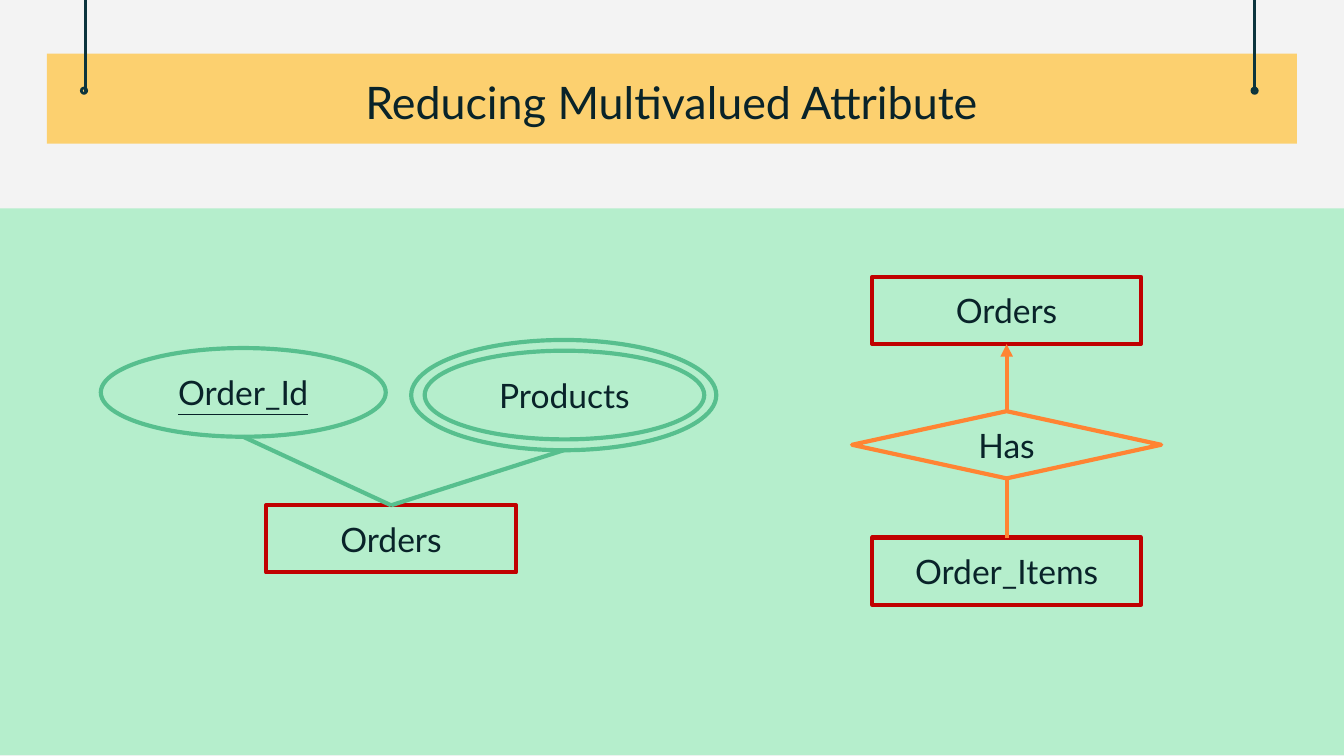
import pptx
import pptx.util
import pptx.dml.color
import pptx.enum.shapes
import pptx.enum.text
import pptx.oxml
import pptx.oxml.ns
from dataclasses import dataclass

Inches = pptx.util.Inches
Pt = pptx.util.Pt
RGB = pptx.dml.color.RGBColor.from_string
KIND = pptx.enum.shapes.MSO_SHAPE


@dataclass(frozen=True)
class Theme:
    back: str = "F3F3F3"
    panel: str = "B5EECC"
    band: str = "FCD06F"
    pin: str = "0C343D"
    ink: str = "092329"
    entity: str = "C00000"
    attr: str = "57BF8E"
    link: str = "FF8433"
    font: str = "Lato"
    head: float = 24
    body: float = 18
    thin: float = 0.75
    thick: float = 2.25


theme = Theme()
deck = pptx.Presentation()
deck.slide_width, deck.slide_height = Inches(10), Inches(10 * 9 / 16)
slide = deck.slides.add_slide(deck.slide_layouts[5])
slide.background.fill.solid()
slide.background.fill.fore_color.rgb = RGB(theme.back)


def draw(kind, box, fill=None, line=None, width=theme.thick, text=""):
    shape = slide.shapes.add_shape(kind, *map(Inches, box))
    shape.shadow.inherit = False
    if fill:
        shape.fill.solid()
        shape.fill.fore_color.rgb = RGB(fill)
    else:
        shape.fill.background()
    if line:
        shape.line.color.rgb = RGB(line)
        shape.line.width = Pt(width)
    else:
        shape.line.fill.background()
    if text:
        style(shape.text_frame, text, theme.body)
    return shape


def style(frame, text, size):
    """Set centred text in the theme's font and ink."""
    frame.text = text
    frame.word_wrap = True
    frame.vertical_anchor = pptx.enum.text.MSO_ANCHOR.MIDDLE
    para = frame.paragraphs[0]
    para.alignment = pptx.enum.text.PP_ALIGN.CENTER
    font = para.runs[0].font
    font.name, font.size = theme.font, Pt(size)
    font.color.rgb = RGB(theme.ink)


# Backdrop: panel, title band and two hanging pins
draw(KIND.RECTANGLE, (-0.03, 1.55, 10.05, 4.07), theme.panel)
draw(KIND.RECTANGLE, (0.35, 0.4, 9.3, 0.67), theme.band)
for rod, knob in ((0.63, 0.6), (9.33, 9.31)):
    draw(KIND.RECTANGLE, (rod, 0, 0.01, 0.68), theme.pin, theme.pin, theme.thin)
    ring = draw(KIND.DONUT, (knob, 0.65, 0.05, 0.05), theme.pin, theme.pin, theme.thin)
    ring.adjustments[0] = 0.2

# Title, brought in front of the band
title = slide.shapes.title
title.left, title.top, title.width, title.height = map(Inches, (1.5, 0.44, 6.99, 0.63))
style(title.text_frame, "Reducing Multivalued Attribute", theme.head)
slide.shapes.element.append(title.element)

# Entities, attributes and the relationship
nodes = {}
for name, kind, box, color, text in (
    ("source", KIND.RECTANGLE, (1.98, 3.76, 1.86, 0.5), theme.entity, "Orders"),
    ("key", KIND.OVAL, (0.75, 2.59, 2.12, 0.66), theme.attr, "Order_Id"),
    ("inner", KIND.OVAL, (3.16, 2.61, 2.08, 0.66), theme.attr, "Products"),
    ("outer", KIND.OVAL, (3.06, 2.53, 2.27, 0.82), theme.attr, ""),
    ("items", KIND.RECTANGLE, (6.49, 4, 2, 0.5), theme.entity, "Order_Items"),
    ("orders", KIND.RECTANGLE, (6.49, 2.06, 2, 0.5), theme.entity, "Orders"),
    ("has", KIND.DIAMOND, (6.34, 3.06, 2.3, 0.5), theme.link, "Has"),
):
    nodes[name] = draw(kind, box, line=color, text=text)
nodes["key"].text_frame.paragraphs[0].runs[0].font.underline = True

# Links run from the bottom (2) or top (0) of one node to another
space = pptx.oxml.ns.nsdecls("a")
for start, side, end, goal, color, arrow in (
    ("key", 2, "source", 0, theme.attr, False),
    ("outer", 2, "source", 0, theme.attr, False),
    ("has", 2, "items", 0, theme.link, False),
    ("has", 0, "orders", 2, theme.link, True),
):
    node = nodes[start]
    x = node.left + node.width // 2
    y = node.top + (node.height if side == 2 else 0)
    link = slide.shapes.add_connector(pptx.enum.shapes.MSO_CONNECTOR.STRAIGHT, x, y, x, y)
    if node.auto_shape_type != KIND.OVAL:
        link.begin_connect(node, side)
    link.end_connect(nodes[end], goal)
    link.line.color.rgb = RGB(color)
    link.line.width = Pt(theme.thick)
    props = link.element.spPr
    if arrow:
        tip = pptx.oxml.parse_xml(f'<a:tailEnd {space} type="triangle"/>')
        props.find(pptx.oxml.ns.qn("a:ln")).append(tip)
    props.append(pptx.oxml.parse_xml(f"<a:effectLst {space}/>"))

deck.save("out.pptx")
